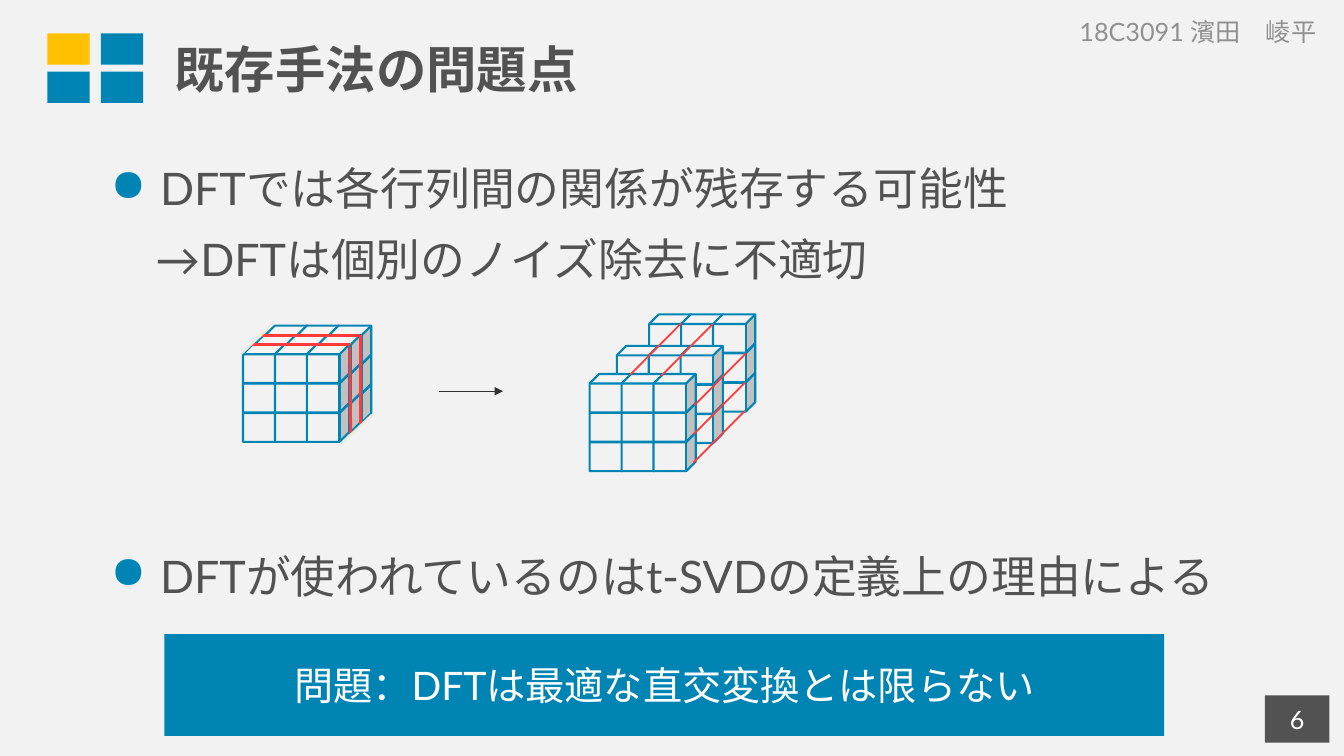
from lxml import etree
from pptx import Presentation
from pptx.dml.color import RGBColor
from pptx.enum.shapes import MSO_CONNECTOR as Connector, MSO_SHAPE as Preset
from pptx.enum.text import MSO_ANCHOR as Anchor, MSO_AUTO_SIZE as AutoSize, PP_ALIGN as Align
from pptx.oxml.ns import qn
from pptx.util import Pt

COLORS = {
    "paper": "F2F2F2", "blue": "0084B4", "yellow": "FFC000", "dark": "525252",
    "white": "FFFFFF", "grey": "909090", "red": "FE3A3A", "cream": "EEECE1",
    "black": "323232",
}
FONT = "Lato"
CUBE_SIZE = (30.2, 27.4)
CUBE_PITCH = (22.8, 21)


def rgb(name):
    return RGBColor.from_string(COLORS[name])


def style(paragraph, size, color, align=Align.LEFT, bold=False):
    paragraph.alignment = align
    font = paragraph.font
    font.size, font.bold = Pt(size), bold
    font.color.rgb = rgb(color)
    font.name = FONT
    defaults = paragraph._p.pPr.find(qn("a:defRPr"))
    etree.SubElement(defaults, qn("a:ea"), typeface=FONT)


def add_bullet(paragraph, indent=35.3):
    props = paragraph._p.pPr
    props.set("marL", str(Pt(indent)))
    props.set("indent", str(-Pt(indent)))
    defaults = props.find(qn("a:defRPr"))
    bullet_color = etree.Element(qn("a:buClr"))
    etree.SubElement(bullet_color, qn("a:srgbClr"), val=COLORS["blue"])
    defaults.addprevious(bullet_color)
    defaults.addprevious(etree.Element(qn("a:buChar"), char="●"))


def add_text(slide, box, lines, size, color, align=Align.LEFT, anchor=Anchor.TOP):
    frame = slide.shapes.add_textbox(*map(Pt, box)).text_frame
    frame.word_wrap = True
    frame.vertical_anchor = anchor
    for number, line in enumerate(lines):
        paragraph = frame.add_paragraph() if number else frame.paragraphs[0]
        paragraph.text = line
        style(paragraph, size, color, align)
    return frame.paragraphs


def add_points(slide, box, lines):
    """A bulleted statement, with any further lines indented below it."""
    statement, *remarks = add_text(slide, box, lines, 32, "dark")
    statement.space_before = Pt(12)
    add_bullet(statement)
    for remark in remarks:
        remark.space_before = Pt(12)
        remark._p.pPr.set("marL", str(Pt(32)))


def add_block(shapes, preset, box, fill, outline=None):
    block = shapes.add_shape(preset, *map(Pt, box))
    block.shadow.inherit = False
    block.fill.solid()
    block.fill.fore_color.rgb = rgb(fill)
    if outline:
        block.line.color.rgb = rgb(outline)
        block.line.width = Pt(1.5)
    else:
        block.line.fill.background()
    return block


def add_label(slide, box, fill, text, size):
    frame = add_block(slide.shapes, Preset.RECTANGLE, box, fill).text_frame
    frame.word_wrap = True
    frame.vertical_anchor = Anchor.MIDDLE
    frame.text = text
    style(frame.paragraphs[0], size, "white", Align.CENTER)


def add_line(shapes, ends, color, width, arrow=False):
    line = shapes.add_connector(Connector.STRAIGHT, *map(Pt, ends))
    line.line.color.rgb = rgb(color)
    line.line.width = Pt(width)
    props = line._element.spPr
    if arrow:
        etree.SubElement(props.find(qn("a:ln")), qn("a:tailEnd"), type="triangle")
    etree.SubElement(props, qn("a:effectLst"))


def add_slab(shapes, left, top):
    """A 3 x 3 wall of cubes, stacked from the bottom row up."""
    for row in (2, 1, 0):
        for column in range(3):
            corner = (left + column * CUBE_PITCH[0], top + row * CUBE_PITCH[1])
            add_block(shapes, Preset.CUBE, corner + CUBE_SIZE, "paper", "blue")


def add_logo_tiles(slide):
    shapes = slide.shapes.add_group_shape().shapes
    for row in range(2):
        for column in range(2):
            fill = "yellow" if row == column == 0 else "blue"
            box = (33.8 + column * 38.2, 23.8 + row * 27.4, 30.2, 22.3)
            add_block(shapes, Preset.RECTANGLE, box, fill)


def add_tensor_diagram(slide):
    shapes = slide.shapes.add_group_shape().shapes

    # Joined tensor with its cuts
    for depth in range(3):
        add_slab(shapes, 189.4 - 7.9 * depth, 232.6 + 6.8 * depth)
    for cut in ((179.3, 246.2, 249.8, 246.2), (187.2, 239.8, 257, 239.8),
                (249.8, 247.7, 250.6, 311), (257.8, 239, 257.8, 303.1)):
        add_line(shapes, cut, "red", 2)
    for edge in ((172.1, 252.7, 195.1, 231.1), (242.6, 318.2, 265.7, 296.6)):
        add_line(shapes, edge, "cream", 2)

    add_line(shapes, (313.9, 279.4, 359.3, 279.4), "black", 0.75, arrow=True)

    # Separated slabs with the relations that remain between them
    for left, top in ((463.7, 224.6), (440.6, 247), (421.2, 267.1)):
        add_slab(shapes, left, top)
    for x, y in ((496.1, 289.4), (472.3, 268.6), (495.4, 310.3),
                 (495.4, 330.5), (450, 267.8)):
        add_line(shapes, (x, y, x + 36.7, y - 37), "red", 1.25)


def add_title(slide, text):
    title = slide.shapes.title
    title.left, title.top, title.width, title.height = map(Pt, (117.4, 3.6, 843, 90))
    frame = title.text_frame
    frame.auto_size = AutoSize.NONE
    frame.vertical_anchor = Anchor.MIDDLE
    frame.text = text
    style(frame.paragraphs[0], 36, "dark", bold=True)


def main():
    deck = Presentation()
    deck.slide_width, deck.slide_height = Pt(960), Pt(540)
    slide = deck.slides.add_slide(deck.slide_layouts[5])
    slide.background.fill.solid()
    slide.background.fill.fore_color.rgb = rgb("paper")

    # Header
    add_logo_tiles(slide)
    add_title(slide, "既存手法の問題点")
    add_text(slide, (553.7, 7.9, 604, 28.8), ["18C3091 濱田　崚平"], 18, "grey",
             Align.CENTER, Anchor.MIDDLE)

    # Statements and diagram
    add_points(slide, (72, 111.6, 904.3, 206.6),
               ["DFTでは各行列間の関係が残存する可能性", "→DFTは個別のノイズ除去に不適切"])
    add_points(slide, (72, 388.1, 877.7, 47.5),
               ["DFTが使われているのはt-SVDの定義上の理由による"])
    add_tensor_diagram(slide)

    # Conclusion and page number
    add_label(slide, (117.4, 452.9, 714.2, 72.7), "blue",
              "問題：DFTは最適な直交変換とは限らない", 28)
    add_label(slide, (903.6, 496.8, 46.1, 33.8), "dark", "6", 18)

    deck.save("out.pptx")


if __name__ == "__main__":
    main()
